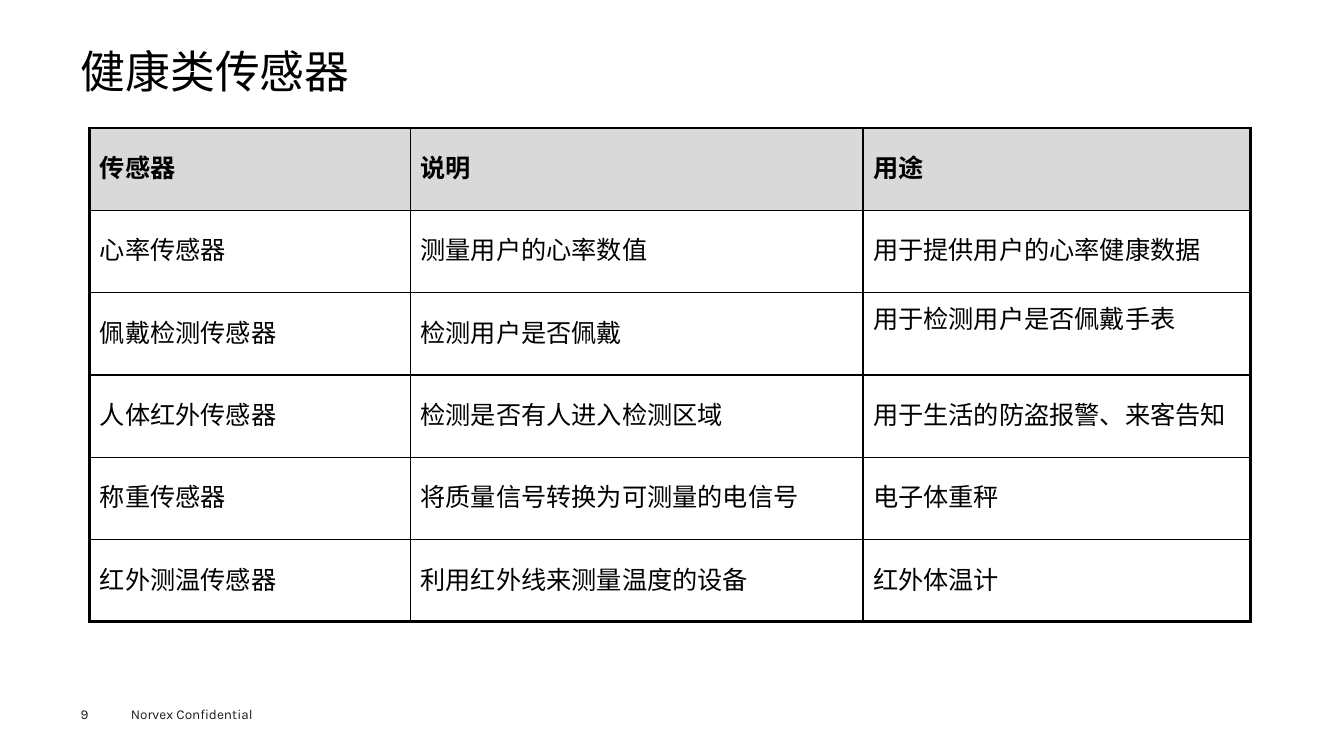
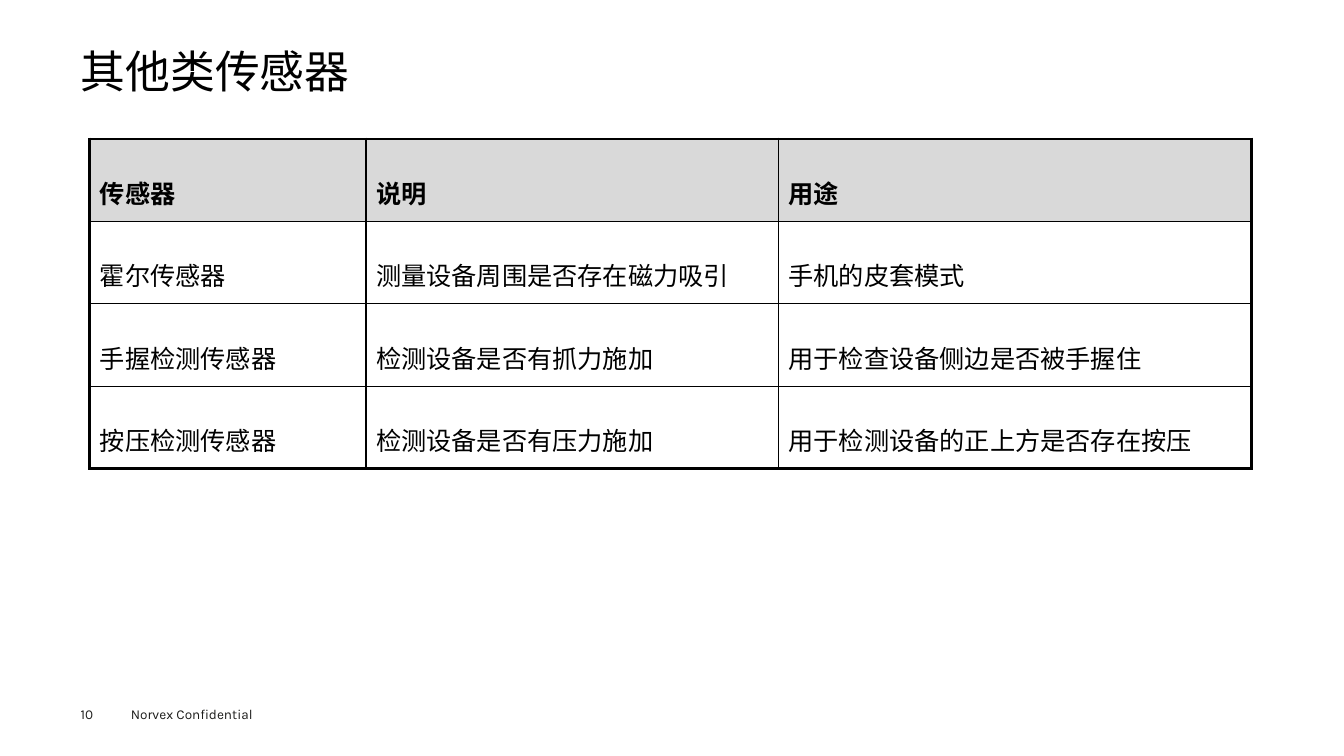
import pptx
import pptx.util
import pptx.dml.color
import pptx.enum.lang
import pptx.enum.text
import pptx.oxml
import pptx.oxml.ns
from lxml import etree

PX = 9144  # EMU per px, 100 px to the inch
FONT = "Karla"
BLACK, WHITE, GREY, FOOTER_INK = "000000", "FFFFFF", "D9D9D9", "1D1D1B"
OUTER_LINE, INNER_LINE = 2.25, 1
TITLE_STYLE = {"size": 32, "color": BLACK}
HEAD_STYLE = {"size": 18, "color": BLACK, "bold": True}
CELL_STYLE = {"size": 18, "color": BLACK, "bold": False}
FOOTER_STYLE = {"size": 9.7, "color": FOOTER_INK}
FOOTER_TEXT = "Norvex Confidential"
FIRST_NUMBER = 9
HEADINGS = ["传感器", "说明", "用途"]

TABLES = [
    {
        "title": "健康类传感器",
        "box": (89, 127, 1151, 490),
        "columns": [318, 449, 384],
        "line_spacing": 1.0,
        "rows": [
            ["心率传感器", "测量用户的心率数值", "用于提供用户的心率健康数据"],
            ["佩戴检测传感器", "检测用户是否佩戴", "用于检测用户是否佩戴手表"],
            ["人体红外传感器", "检测是否有人进入检测区域", "用于生活的防盗报警、来客告知"],
            ["称重传感器", "将质量信号转换为可测量的电信号", "电子体重秤"],
            ["红外测温传感器", "利用红外线来测量温度的设备", "红外体温计"],
        ],
        "raised": (2, 2),
    },
    {
        "title": "其他类传感器",
        "box": (89, 138, 1152, 327),
        "columns": [274, 409, 469],
        "line_spacing": 2.0,
        "rows": [
            ["霍尔传感器", "测量设备周围是否存在磁力吸引", "手机的皮套模式"],
            ["手握检测传感器", "检测设备是否有抓力施加", "用于检查设备侧边是否被手握住"],
            ["按压检测传感器", "检测设备是否有压力施加", "用于检测设备的正上方是否存在按压"],
        ],
        "raised": None,
    },
]


def px(n):
    return pptx.util.Emu(round(n * PX))


def rgb(value):
    return pptx.dml.color.RGBColor.from_string(value)


def write(tf, text, style, line_spacing=1.0):
    p = tf.paragraphs[0]
    p.alignment = pptx.enum.text.PP_ALIGN.LEFT
    p.line_spacing = line_spacing
    r = p.add_run()
    r.text = text
    font = {"name": FONT, "language_id": pptx.enum.lang.MSO_LANGUAGE_ID.SIMPLIFIED_CHINESE,
            "size": pptx.util.Pt(style["size"]), "bold": style.get("bold", False)}
    for name, value in font.items():
        setattr(r.font, name, value)
    r.font.color.rgb = rgb(style["color"])
    ea = etree.SubElement(r._r.get_or_add_rPr(), pptx.oxml.ns.qn("a:ea"))
    ea.set("typeface", FONT)


def frame(sp, box, inset=True):
    """Place a shape and set up its text frame."""
    for name, value in zip(("left", "top", "width", "height"), box):
        setattr(sp, name, px(value))
    tf = sp.text_frame
    settings = {"word_wrap": True, "auto_size": pptx.enum.text.MSO_AUTO_SIZE.NONE,
                "vertical_anchor": pptx.enum.text.MSO_ANCHOR.TOP}
    if not inset:
        settings.update({f"margin_{side}": 0 for side in ("left", "top", "right", "bottom")})
    for name, value in settings.items():
        setattr(tf, name, value)
    return tf


def add_label(s, text, box, inset):
    sp = s.shapes.add_textbox(0, 0, 0, 0)
    write(frame(sp, box, inset), text, FOOTER_STYLE)


def add_base(prs, title, number):
    """Add a slide with its title, footer and number."""
    s = prs.slides.add_slide(prs.slide_layouts[5])
    write(frame(s.shapes.title, (80, 49, 1173, 54), False), title, TITLE_STYLE, 0.9)
    add_label(s, FOOTER_TEXT, (120, 695, 160, 27), True)
    add_label(s, str(number), (80, 700, 55, 16), False)
    return s


def set_borders(cell, widths):
    """Draw cell borders; widths maps L, R, T, B to points."""
    tc_pr = cell._tc.get_or_add_tcPr()
    for side in "LRTB":
        width = pptx.util.Pt(widths[side])
        tc_pr.append(pptx.oxml.parse_xml(
            f'<a:ln{side} {pptx.oxml.ns.nsdecls("a")} w="{width}">'
            f'<a:solidFill><a:srgbClr val="{BLACK}"/></a:solidFill></a:ln{side}>'))


def add_sensor_table(s, data):
    rows = [HEADINGS] + data["rows"]
    last_row, last_col = len(rows) - 1, len(HEADINGS) - 1
    box = [px(n) for n in data["box"]]
    table = s.shapes.add_table(len(rows), len(HEADINGS), *box).table
    table.first_row = table.horz_banding = False
    for column, width in zip(table.columns, data["columns"]):
        column.width = px(width)
    for i, row in enumerate(rows):
        for j, text in enumerate(row):
            cell = table.cell(i, j)
            edges = {"L": j == 0, "R": j == last_col, "T": i == 0, "B": i == last_row}
            set_borders(cell, {side: OUTER_LINE if outer else INNER_LINE
                               for side, outer in edges.items()})
            cell.fill.solid()
            cell.fill.fore_color.rgb = rgb(GREY if i == 0 else WHITE)
            cell.vertical_anchor = pptx.enum.text.MSO_ANCHOR.MIDDLE
            if (i, j) == data["raised"]:
                cell.margin_bottom = px(33)
            write(cell.text_frame, text, HEAD_STYLE if i == 0 else CELL_STYLE,
                  data["line_spacing"])


def main():
    prs = pptx.Presentation()
    prs.slide_width, prs.slide_height = px(1333), px(750)
    for number, data in enumerate(TABLES, FIRST_NUMBER):
        add_sensor_table(add_base(prs, data["title"], number), data)
    prs.save("out.pptx")


if __name__ == "__main__":
    main()
